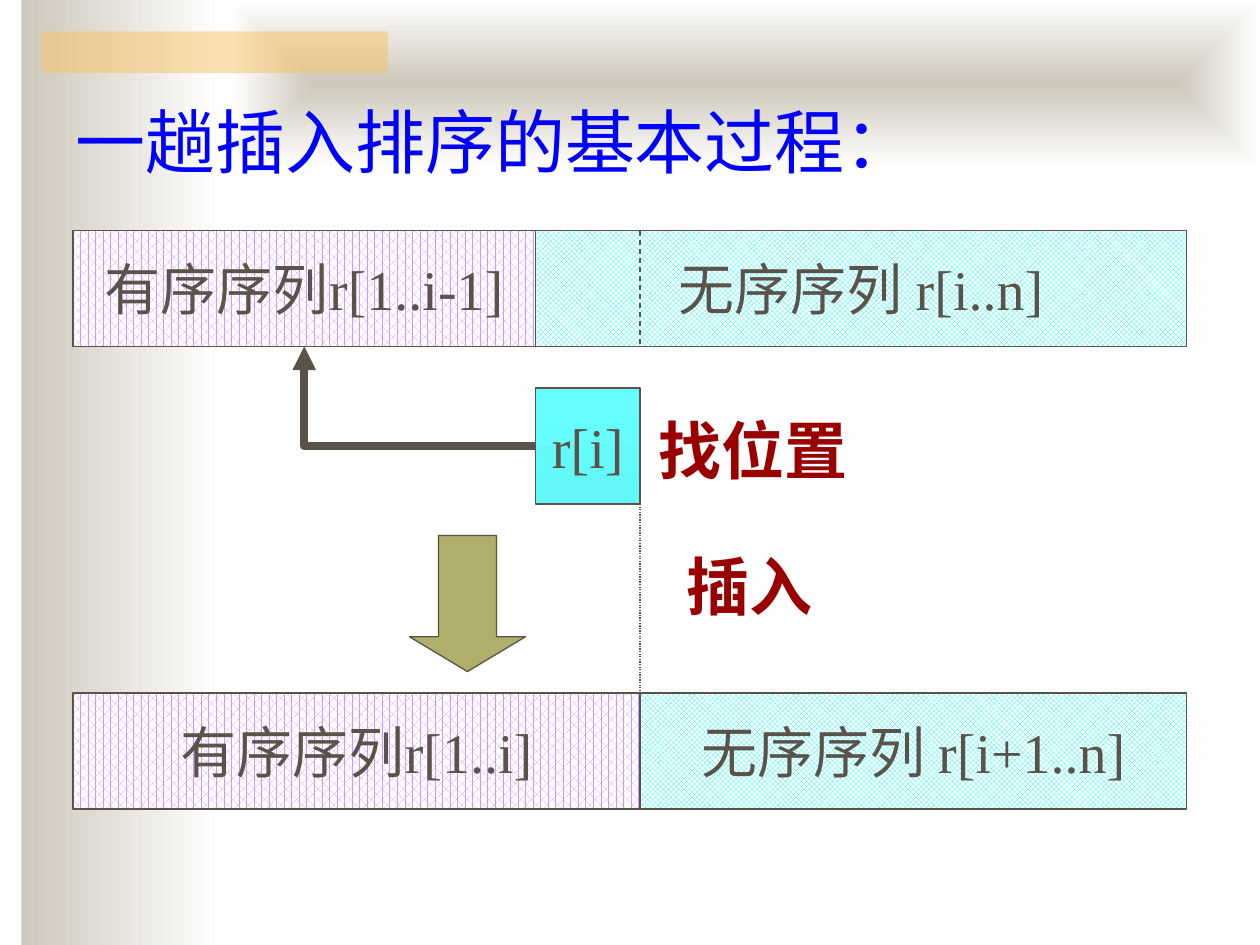
from lxml import etree
from pptx import Presentation
from pptx.dml.color import RGBColor
from pptx.enum.dml import MSO_LINE, MSO_PATTERN
from pptx.enum.shapes import MSO_CONNECTOR, MSO_SHAPE
from pptx.enum.text import MSO_ANCHOR, MSO_AUTO_SIZE, PP_ALIGN
from pptx.oxml.ns import qn
from pptx.util import Inches, Pt

RECTANGLE, DOWN_ARROW = MSO_SHAPE.RECTANGLE, MSO_SHAPE.DOWN_ARROW
STRAIGHT, ELBOW = MSO_CONNECTOR.STRAIGHT, MSO_CONNECTOR.ELBOW
DASH, DOTS = MSO_LINE.DASH, MSO_LINE.ROUND_DOT
SORTED_PATTERN, UNSORTED_PATTERN = MSO_PATTERN.PERCENT_60, MSO_PATTERN.TRELLIS
MIDDLE, BOTTOM = MSO_ANCHOR.MIDDLE, MSO_ANCHOR.BOTTOM
LEFT, CENTER = PP_ALIGN.LEFT, PP_ALIGN.CENTER
FIT_SHAPE = MSO_AUTO_SIZE.SHAPE_TO_FIT_TEXT
NO_FIT = MSO_AUTO_SIZE.NONE

INK = "5B5249"
SAND = "CEC8BA"
WHITE = "FFFFFF"
color = RGBColor.from_string


def write_text(shape, text, size=32, ink=INK, bold=False, align=CENTER,
               anchor=MIDDLE, wrap=False, fit=NO_FIT):
    frame = shape.text_frame
    frame.word_wrap = wrap
    frame.auto_size = fit
    frame.vertical_anchor = anchor
    paragraph = frame.paragraphs[0]
    paragraph.alignment = align
    run = paragraph.add_run()
    run.text = text
    run.font.name = "Times New Roman"
    run.font.size = Pt(size)
    run.font.bold = bold
    run.font.color.rgb = color(ink)


def add_block(left, top, width, height, line=INK, kind=RECTANGLE):
    shape = slide.shapes.add_shape(
        kind, Inches(left), Inches(top), Inches(width), Inches(height))
    shape.shadow.inherit = False
    if line:
        shape.line.color.rgb = color(line)
        shape.line.width = Pt(0.75)
    else:
        shape.line.fill.background()
    return shape


presentation = Presentation()
presentation.slide_width = Inches(10)
presentation.slide_height = Inches(7.5)
slide = presentation.slides.add_slide(presentation.slide_layouts[5])

side_band = add_block(0.17, 0, 1.58, 7.5, line=None)
top_band = add_block(1.83, 0, 8.17, 1.33, line=None)
item = add_block(4.25, 3.08, 0.83, 0.92)
for shape, first, last, angle in [
    (side_band, SAND, WHITE, 0),
    (top_band, SAND, WHITE, 0),
    (item, "66FFFF", "63F8F8", 270),
]:
    shape.fill.gradient()
    shape.fill.gradient_angle = angle
    for stop, tone in zip(shape.fill.gradient_stops, (first, last)):
        stop.color.rgb = color(tone)
write_text(item, "r[i]")

linear = top_band.element.spPr.find(qn("a:gradFill")).find(qn("a:lin"))
radial = etree.Element(qn("a:path"), path="shape")
etree.SubElement(radial, qn("a:fillToRect"), l="50000", t="50000", r="50000", b="50000")
linear.getparent().replace(linear, radial)

accent = add_block(0.33, 0.25, 2.75, 0.33, line=None)
accent.fill.solid()
accent.fill.fore_color.rgb = color("FAC164")
accent_color = accent.element.spPr.find(qn("a:solidFill")).find(qn("a:srgbClr"))
etree.SubElement(accent_color, qn("a:alpha"), val="50000")

row_left, row_right = 0.58, 9.42
sequences = []
for top, split, sorted_text, unsorted_text in [
    (1.83, 4.25, "有序序列r[1..i-1]", "无序序列 r[i..n]"),
    (5.5, 5.08, "有序序列r[1..i]", "无序序列 r[i+1..n]"),
]:
    for left, right, text, pattern, tone in [
        (row_left, split, sorted_text, SORTED_PATTERN, "CC99FF"),
        (split, row_right, unsorted_text, UNSORTED_PATTERN, "00FFFF"),
    ]:
        sequence = add_block(left, top, right - left, 0.92)
        sequence.fill.patterned()
        sequence.fill.pattern = pattern
        sequence.fill.fore_color.rgb = color(tone)
        sequence.fill.back_color.rgb = color(WHITE)
        write_text(sequence, text)
        sequences.append(sequence)

down_arrow = add_block(3.25, 4.25, 0.92, 1.08, kind=DOWN_ARROW)
down_arrow.adjustments[0] = 0.5
down_arrow.adjustments[1] = 0.3
down_arrow.fill.solid()
down_arrow.fill.fore_color.rgb = color("B0AE6A")

connectors = []
for kind, start_x, start_y, end_x, end_y, width, dash in [
    (ELBOW, 4.25, 3.54, 2.42, 2.75, 4.5, None),
    (STRAIGHT, 5.08, 1.83, 5.08, 2.75, 0.75, DASH),
    (STRAIGHT, 5.08, 4, 5.08, 5.5, 0.75, DOTS),
]:
    connector = slide.shapes.add_connector(
        kind, Inches(start_x), Inches(start_y), Inches(end_x), Inches(end_y))
    connector.line.color.rgb = color(INK)
    connector.line.width = Pt(width)
    connector.line.dash_style = dash
    etree.SubElement(connector.element.spPr, qn("a:effectLst"))
    connectors.append(connector)

search_arrow = connectors[0]
search_arrow.begin_connect(item, 1)
search_arrow.end_connect(sequences[0], 2)
search_properties = search_arrow.element.spPr
search_properties.find(qn("a:prstGeom")).set("prst", "bentConnector2")
etree.SubElement(search_properties.find(qn("a:ln")), qn("a:tailEnd"), type="triangle")

for left, top, width, text in [(5.12, 3.22, 1.71, "找位置"), (5.34, 4.3, 1.21, "插入")]:
    step = slide.shapes.add_textbox(Inches(left), Inches(top), Inches(width), Inches(0.7))
    write_text(step, text, size=36, ink="990000", bold=True, anchor=MSO_ANCHOR.TOP,
               fit=FIT_SHAPE)

title = slide.shapes.title
title.left, title.top = Inches(0.5), Inches(0.75)
title.width, title.height = Inches(8.5), Inches(0.75)
write_text(title, "一趟插入排序的基本过程：", size=40, ink="0000FF", align=LEFT,
           anchor=BOTTOM, wrap=True)
slide.shapes.element.append(title.element)

presentation.save("out.pptx")
